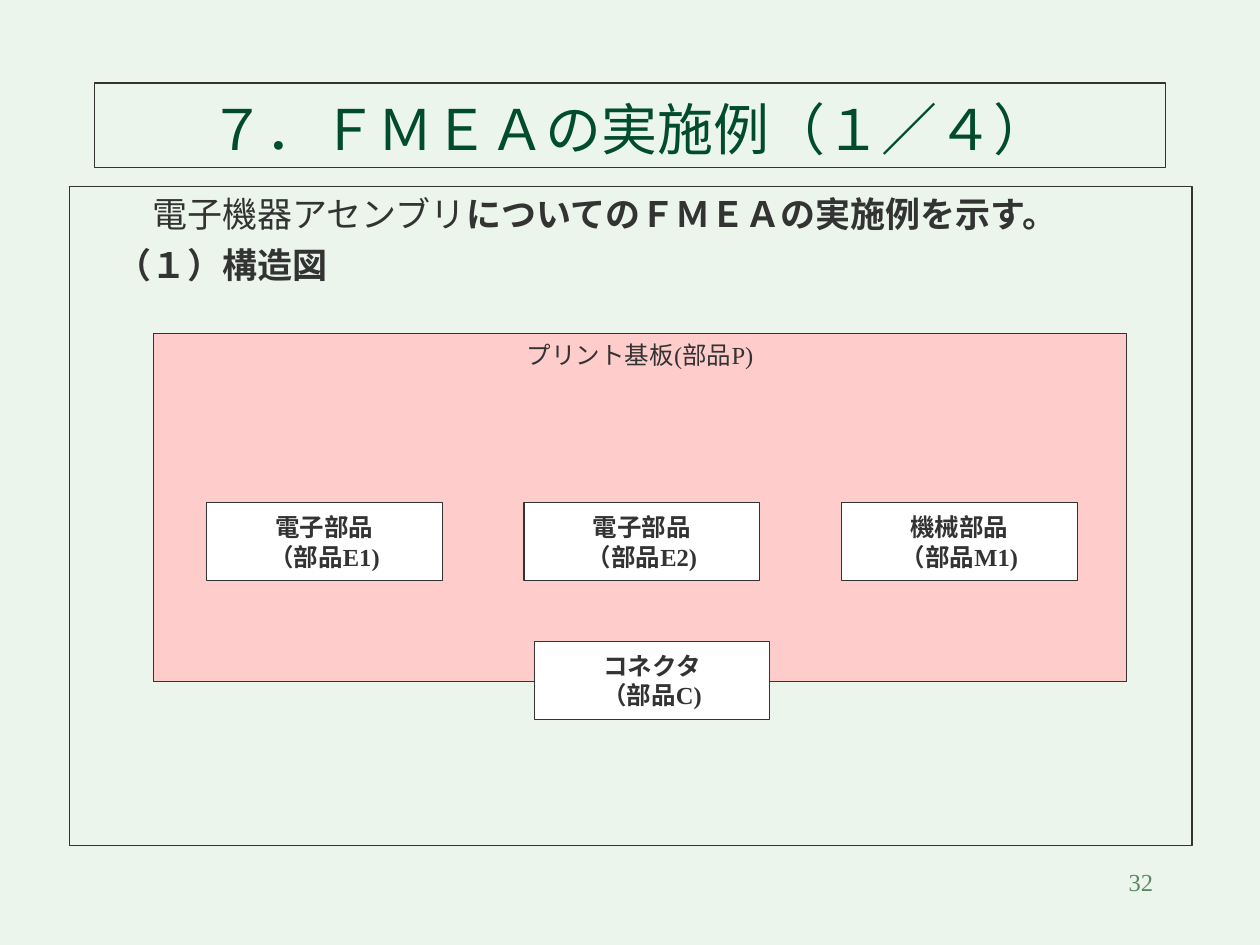
from dataclasses import dataclass

from pptx import Presentation
from pptx.dml.color import RGBColor
from pptx.enum.shapes import MSO_SHAPE
from pptx.enum.text import MSO_ANCHOR, PP_ALIGN
from pptx.util import Inches, Pt

RECTANGLE = MSO_SHAPE.RECTANGLE
LEFT, CENTER, RIGHT = PP_ALIGN.LEFT, PP_ALIGN.CENTER, PP_ALIGN.RIGHT
TOP, MIDDLE, BOTTOM = MSO_ANCHOR.TOP, MSO_ANCHOR.MIDDLE, MSO_ANCHOR.BOTTOM


@dataclass(frozen=True)
class Theme:
    font: str = "Times New Roman"
    background: RGBColor = RGBColor(0xEC, 0xF5, 0xEC)
    board: RGBColor = RGBColor(0xFF, 0xCC, 0xCC)
    component: RGBColor = RGBColor(0xFF, 0xFF, 0xFF)
    ink: RGBColor = RGBColor(0x33, 0x33, 0x33)
    title: RGBColor = RGBColor(0x00, 0x4C, 0x2B)
    number: RGBColor = RGBColor(0x57, 0x89, 0x63)
    title_size: int = 32
    body_size: int = 20
    label_size: int = 14


THEME = Theme()


def add_run(paragraph, text, size, color=THEME.ink, bold=False):
    run = paragraph.add_run()
    run.text = text
    run.font.name = THEME.font
    run.font.size = Pt(size)
    run.font.bold = bold
    run.font.color.rgb = color


def set_frame(frame, anchor, side=0.1, edge=0.05, wrap=True):
    frame.word_wrap = wrap
    frame.vertical_anchor = anchor
    frame.margin_left = frame.margin_right = Inches(side)
    frame.margin_top = frame.margin_bottom = Inches(edge)


def add_box(slide, left, top, width, height, fill=None, line_width=0.75):
    shape = slide.shapes.add_shape(
        RECTANGLE, Inches(left), Inches(top), Inches(width), Inches(height)
    )
    shape.shadow.inherit = False
    if fill is None:
        shape.fill.background()
    else:
        shape.fill.solid()
        shape.fill.fore_color.rgb = fill
    shape.line.color.rgb = THEME.ink
    shape.line.width = Pt(line_width)
    return shape


def next_paragraph(frame, index, alignment):
    paragraph = frame.add_paragraph() if index else frame.paragraphs[0]
    paragraph.alignment = alignment
    return paragraph


def add_board(slide):
    frame = add_box(slide, 1.22, 2.65, 7.72, 2.76, THEME.board).text_frame
    set_frame(frame, TOP, wrap=False)
    add_run(next_paragraph(frame, 0, CENTER), "プリント基板(部品P)", THEME.label_size)


def add_body(slide):
    frame = add_box(slide, 0.55, 1.48, 8.91, 5.23).text_frame
    set_frame(frame, TOP)
    lines = [
        (0.56, [("電子機器アセンブリ", False), ("についてのＦＭＥＡの実施例を示す。", True)]),
        (0.28, [("（１）構造図", True)]),
    ]
    for index, (indent, runs) in enumerate(lines):
        paragraph = next_paragraph(frame, index, LEFT)
        paragraph._p.get_or_add_pPr().set("marL", str(Inches(indent)))
        if index:
            paragraph.space_before = Pt(5)
        for text, bold in runs:
            add_run(paragraph, text, THEME.body_size, bold=bold)


def add_title(slide):
    frame = add_box(slide, 0.75, 0.66, 8.5, 0.67, THEME.background, 1).text_frame
    set_frame(frame, BOTTOM)
    add_run(
        next_paragraph(frame, 0, CENTER),
        "７．ＦＭＥＡの実施例（１／４）",
        THEME.title_size,
        THEME.title,
    )


def add_slide_number(slide):
    box = slide.shapes.add_textbox(Inches(7.17), Inches(6.83), Inches(2.08), Inches(0.5))
    set_frame(box.text_frame, TOP)
    add_run(next_paragraph(box.text_frame, 0, RIGHT), "32", THEME.label_size, THEME.number)


def add_component(slide, left, top, name, code):
    frame = add_box(slide, left, top, 1.87, 0.62, THEME.component).text_frame
    set_frame(frame, MIDDLE, 0.04, 0.04)
    for index, text in enumerate((name, f"（部品{code})")):
        add_run(next_paragraph(frame, index, CENTER), text, THEME.label_size, bold=True)


def main():
    presentation = Presentation()
    presentation.slide_width = Inches(10)
    presentation.slide_height = Inches(7.5)
    slide = presentation.slides.add_slide(presentation.slide_layouts[6])
    slide.background.fill.solid()
    slide.background.fill.fore_color.rgb = THEME.background

    add_board(slide)
    add_body(slide)
    add_title(slide)
    add_slide_number(slide)
    mounted = [("電子部品", "E1"), ("電子部品", "E2"), ("機械部品", "M1")]
    for column, (name, code) in enumerate(mounted):
        add_component(slide, 1.64 + 2.52 * column, 3.99, name, code)
    add_component(slide, 4.24, 5.09, "コネクタ", "C")
    presentation.save("out.pptx")


if __name__ == "__main__":
    main()
